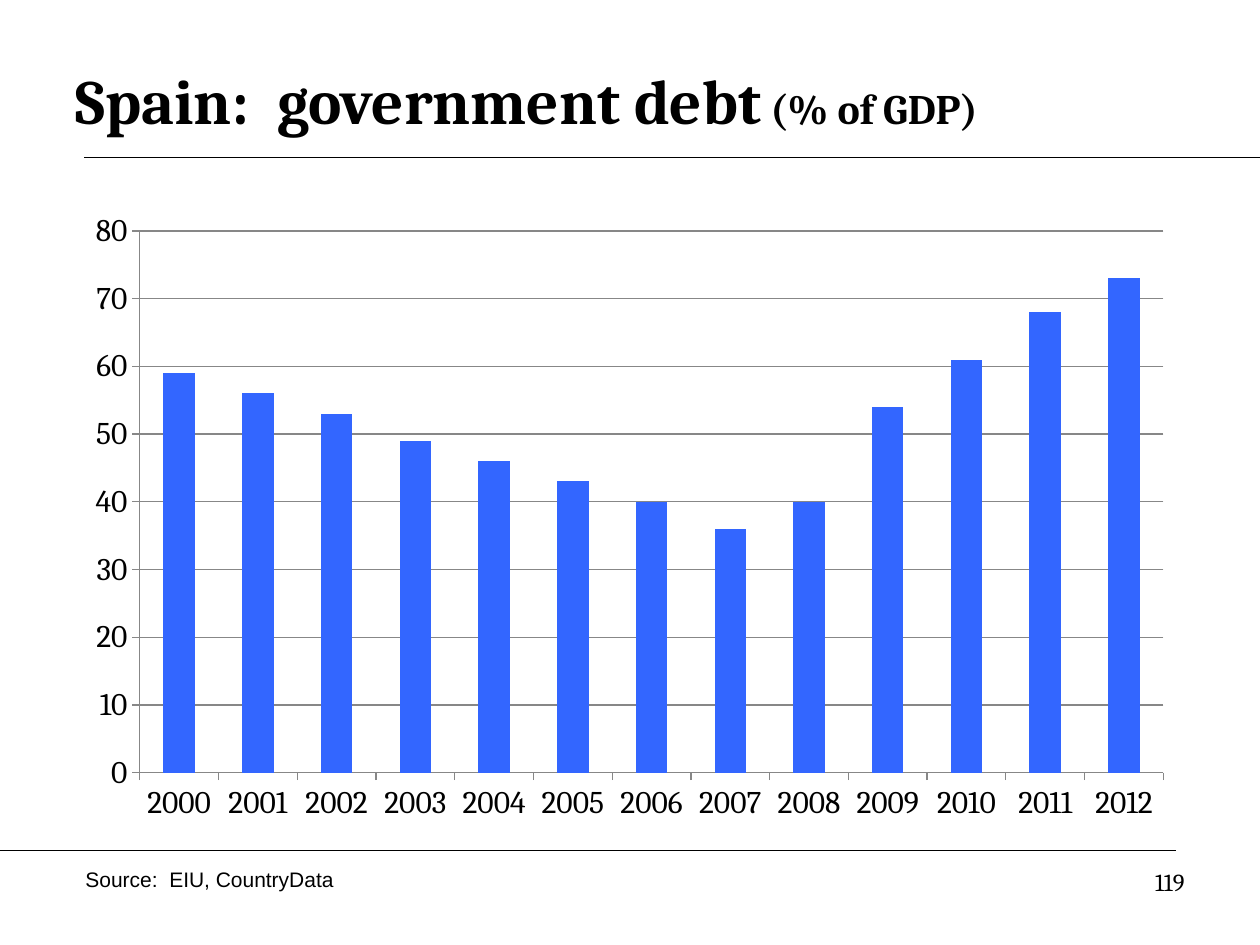
import pptx
import pptx.chart.data
import pptx.dml.color
import pptx.enum.chart
import pptx.enum.shapes
import pptx.enum.text
import pptx.oxml
import pptx.oxml.ns
import pptx.util
from pptx.util import Inches

COLORS = {"text": "000000", "rule": "000000", "bar": "3366FF", "axis": "878787"}
DEBT = dict(zip(range(2000, 2013),
                [59, 56, 53, 49, 46, 43, 40, 36, 40, 54, 61, 68, 73]))


def rgb(name):
    return pptx.dml.color.RGBColor.from_string(COLORS[name])


def style_font(font, size, name="Cambria", bold=False):
    font.name, font.size, font.bold = name, pptx.util.Pt(size), bold
    font.color.rgb = rgb("text")


def add_rule(slide, left, right, top):
    rule = slide.shapes.add_connector(
        pptx.enum.shapes.MSO_CONNECTOR.STRAIGHT, left, top, right, top)
    rule.line.color.rgb = rgb("rule")
    rule.line.width = pptx.util.Pt(0.75)
    properties = rule._element.spPr
    properties.append(pptx.oxml.parse_xml(
        f"<a:effectLst {pptx.oxml.ns.nsdecls('a')}/>"))


def fill_title(slide, left, top, width, height):
    title = slide.shapes.title
    title.left, title.top, title.width, title.height = left, top, width, height
    frame = title.text_frame
    frame.vertical_anchor = pptx.enum.text.MSO_ANCHOR.MIDDLE
    frame.auto_size = pptx.enum.text.MSO_AUTO_SIZE.NONE
    paragraph = frame.paragraphs[0]
    paragraph.alignment = pptx.enum.text.PP_ALIGN.LEFT
    for text, size in (("Spain:  government debt", 36), (" (% of GDP)", 24)):
        run = paragraph.add_run()
        run.text = text
        style_font(run.font, size, bold=True)


def add_text(slide, text, left, top, width, height, size, font_name, alignment):
    frame = slide.shapes.add_textbox(left, top, width, height).text_frame
    frame.word_wrap = True
    paragraph = frame.paragraphs[0]
    paragraph.text = text
    paragraph.alignment = alignment
    style_font(paragraph.font, size, font_name)


def set_plot_layout(chart, x, y, width, height):
    """Fix the inner plot area, as fractions of the chart."""
    plot_area = chart._chartSpace.chart.plotArea
    for layout in plot_area.findall(pptx.oxml.ns.qn("c:layout")):
        plot_area.remove(layout)
    plot_area.insert(0, pptx.oxml.parse_xml(
        f"<c:layout {pptx.oxml.ns.nsdecls('c')}><c:manualLayout>"
        '<c:layoutTarget val="inner"/><c:xMode val="edge"/><c:yMode val="edge"/>'
        f'<c:x val="{x}"/><c:y val="{y}"/><c:w val="{width}"/><c:h val="{height}"/>'
        "</c:manualLayout></c:layout>"))


def add_debt_chart(slide, left, top, width, height):
    data = pptx.chart.data.CategoryChartData()
    data.categories = [str(year) for year in DEBT]
    data.add_series("Government debt", list(DEBT.values()))
    chart = slide.shapes.add_chart(
        pptx.enum.chart.XL_CHART_TYPE.COLUMN_CLUSTERED,
        left, top, width, height, data).chart
    chart.has_legend = False
    chart.has_title = False
    style_font(chart.font, 18)
    set_plot_layout(chart, 0.06, 0.05, 0.92, 0.85)

    plot = chart.plots[0]
    plot.vary_by_categories = False
    plot.gap_width = 150
    fill = plot.series[0].format.fill
    fill.solid()
    fill.fore_color.rgb = rgb("bar")

    value_axis = chart.value_axis
    value_axis.minimum_scale, value_axis.maximum_scale = 0, 80
    value_axis.major_unit = 10
    value_axis.has_major_gridlines = True
    for axis in (chart.category_axis, value_axis):
        axis.major_tick_mark = pptx.enum.chart.XL_TICK_MARK.OUTSIDE
    for part in (chart.category_axis, value_axis, value_axis.major_gridlines):
        part.format.line.color.rgb = rgb("axis")
        part.format.line.width = pptx.util.Pt(0.75)


def add_footer(slide, left, top, width):
    align = pptx.enum.text.PP_ALIGN
    number_width = Inches(2.33)
    add_text(slide, "119", left + width - number_width, top, number_width,
             Inches(0.52), 14, "Cambria", align.RIGHT)
    add_text(slide, "Source:  EIU, CountryData", left, top, Inches(4.83),
             Inches(0.3), 12, "Arial", align.LEFT)


def main():
    presentation = pptx.Presentation()
    presentation.slide_width, presentation.slide_height = Inches(10), Inches(7.5)
    slide = presentation.slides.add_slide(presentation.slide_layouts[5])
    add_rule(slide, Inches(0.67), Inches(10), Inches(1.25))
    add_rule(slide, Inches(0), Inches(9.33), Inches(6.75))
    fill_title(slide, Inches(0.5), Inches(0.33), Inches(9), Inches(0.92))
    add_debt_chart(slide, Inches(0.58), Inches(1.58), Inches(8.83), Inches(5.06))
    add_footer(slide, Inches(0.58), Inches(6.83), Inches(8.92))
    presentation.save("out.pptx")


if __name__ == "__main__":
    main()
